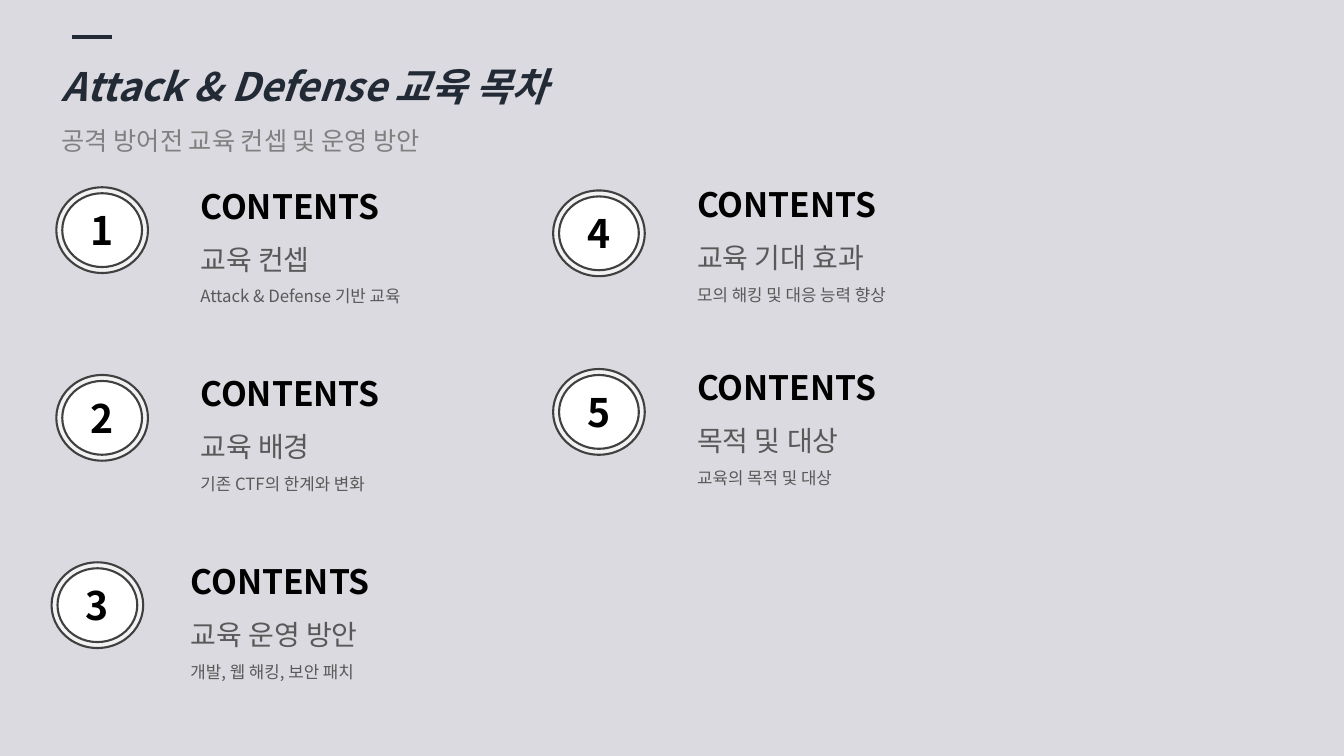
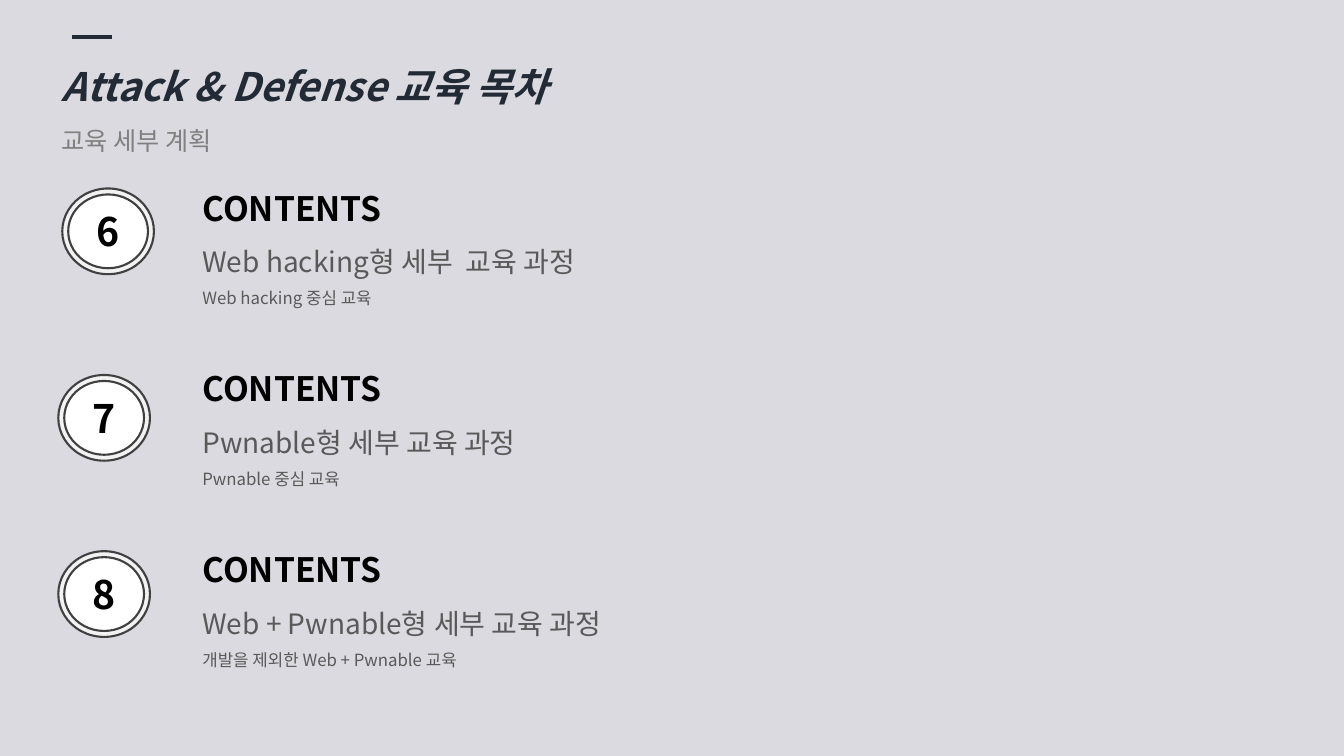
from lxml import etree
from pptx import Presentation
from pptx.dml.color import RGBColor
from pptx.enum import shapes, text
from pptx.oxml import ns
from pptx.util import Cm, Pt

FONT = "Noto Sans CJK KR"
BACKGROUND, NAVY, BLACK, WHITE = "DBDAE0", "222A35", "000000", "FFFFFF"
SUBTITLE_GREY, TEXT_GREY, RING_FILL, RING_LINE = "808080", "595959", "F2F2F2", "404040"
TITLE = "Attack & Defense 교육 목차"
BADGE_W, BADGE_H, RING_GAP = 2.31, 2.16, 0.15

# Each entry: number, badge (left, top), text (left, top, width), topic, detail
SLIDES = [
    ("공격 방어전 교육 컨셉 및 운영 방안", [
        ("1", (1.42, 4.72), (4.8, 4.04, 5.97), "교육 컨셉", "Attack & Defense 기반 교육"),
        ("2", (1.42, 9.45), (4.8, 8.76, 7.21), "교육 배경", "기존 CTF의 한계와 변화"),
        ("3", (1.3, 14.17), (4.55, 13.49, 7.21), "교육 운영 방안", "개발, 웹 해킹, 보안 패치"),
        ("4", (13.94, 4.8), (17.32, 3.99, 5.97), "교육 기대 효과", "모의 해킹 및 대응 능력 향상"),
        ("5", (13.94, 9.3), (17.32, 8.61, 7.21), "목적 및 대상", "교육의 목적 및 대상"),
    ]),
    ("교육 세부 계획", [
        ("6", (1.57, 4.75), (4.85, 4.09, 11.13), "Web hacking형 세부  교육 과정", "Web hacking 중심 교육"),
        ("7", (1.47, 9.45), (4.85, 8.64, 9.09), "Pwnable형 세부 교육 과정", "Pwnable 중심 교육"),
        ("8", (1.47, 13.89), (4.85, 13.21, 12.65), "Web + Pwnable형 세부 교육 과정",
         "개발을 제외한 Web + Pwnable 교육"),
    ]),
]


def rgb(color):
    return RGBColor.from_string(color)


def add_run(p, words, size, color, bold=False, italic=False):
    r = p.add_run()
    r.text = words
    r.font.name = FONT
    r.font.size = Pt(size)
    r.font.bold, r.font.italic = bold, italic
    r.font.color.rgb = rgb(color)
    east_asian = etree.SubElement(r.font._element, ns.qn("a:ea"))
    east_asian.set("typeface", FONT)


def format_line(p):
    p.alignment = text.PP_ALIGN.LEFT
    p.line_spacing = 1.5
    p.space_before = Pt(0)


def place(sp, left, top, width, height):
    sp.left, sp.top, sp.width, sp.height = Cm(left), Cm(top), Cm(width), Cm(height)


def set_up_template(prs):
    """Set the shared background and the places of title and subtitle."""
    prs.slide_width, prs.slide_height = Cm(33.87), Cm(19.05)
    fill = prs.slide_master.background.fill
    fill.solid()
    fill.fore_color.rgb = rgb(BACKGROUND)
    layout = prs.slide_layouts.get_by_name("Title and Content")
    title, body = list(layout.placeholders)[:2]
    place(title, 1.3, 0.86, 17.42, 1.9)
    place(body, 1.3, 2.64, 17.42, 1.4)
    return layout


def fill_placeholder(sp, words, size, color, **style):
    tf = sp.text_frame
    tf.vertical_anchor = text.MSO_ANCHOR.TOP
    tf.auto_size = text.MSO_AUTO_SIZE.NONE
    p = tf.paragraphs[0]
    format_line(p)
    add_run(p, words, size, color, **style)
    return p


def add_header(s, subtitle):
    fill_placeholder(s.shapes.title, TITLE, 28, NAVY, bold=True, italic=True)
    p = fill_placeholder(s.placeholders[1], subtitle, 18, SUBTITLE_GREY)
    properties = p._p.get_or_add_pPr()
    properties.set("marL", "0")
    properties.set("indent", "0")
    etree.SubElement(properties, ns.qn("a:buNone"))

    accent = s.shapes.add_connector(shapes.MSO_CONNECTOR.STRAIGHT, Cm(1.82), Cm(0.94), Cm(2.82), Cm(0.94))
    accent.line.color.rgb = rgb(NAVY)
    accent.line.width = Pt(3)
    etree.SubElement(accent._element.spPr, ns.qn("a:effectLst"))


def add_circle(group, left, top, width, height, fill):
    sp = group.shapes.add_shape(shapes.MSO_SHAPE.OVAL, Cm(left), Cm(top), Cm(width), Cm(height))
    sp.shadow.inherit = False
    sp.fill.solid()
    sp.fill.fore_color.rgb = rgb(fill)
    sp.line.color.rgb = rgb(RING_LINE)
    sp.line.width = Pt(1.5)
    return sp


def add_badge(s, number, left, top):
    group = s.shapes.add_group_shape()
    add_circle(group, left, top, BADGE_W, BADGE_H, RING_FILL)
    sp = add_circle(group, left + RING_GAP, top + RING_GAP,
                    BADGE_W - 2 * RING_GAP, BADGE_H - 2 * RING_GAP, WHITE)
    tf = sp.text_frame
    tf.vertical_anchor = text.MSO_ANCHOR.MIDDLE
    p = tf.paragraphs[0]
    p.alignment = text.PP_ALIGN.CENTER
    add_run(p, number, 28, BLACK, bold=True)


def add_entry_text(s, left, top, width, topic, detail):
    sp = s.shapes.add_textbox(Cm(left), Cm(top), Cm(width), Cm(3.76))
    tf = sp.text_frame
    tf.word_wrap = True
    tf.auto_size = text.MSO_AUTO_SIZE.SHAPE_TO_FIT_TEXT
    lines = [("CONTENTS", 24, BLACK, True), (topic, 20, TEXT_GREY, False), (detail, 12, TEXT_GREY, False)]
    for i, line in enumerate(lines):
        p = tf.add_paragraph() if i else tf.paragraphs[0]
        format_line(p)
        add_run(p, *line)


def main():
    prs = Presentation()
    layout = set_up_template(prs)
    for subtitle, entries in SLIDES:
        s = prs.slides.add_slide(layout)
        add_header(s, subtitle)
        for number, badge, box, topic, detail in entries:
            add_badge(s, number, *badge)
            add_entry_text(s, *box, topic, detail)
    prs.save("out.pptx")


if __name__ == "__main__":
    main()
